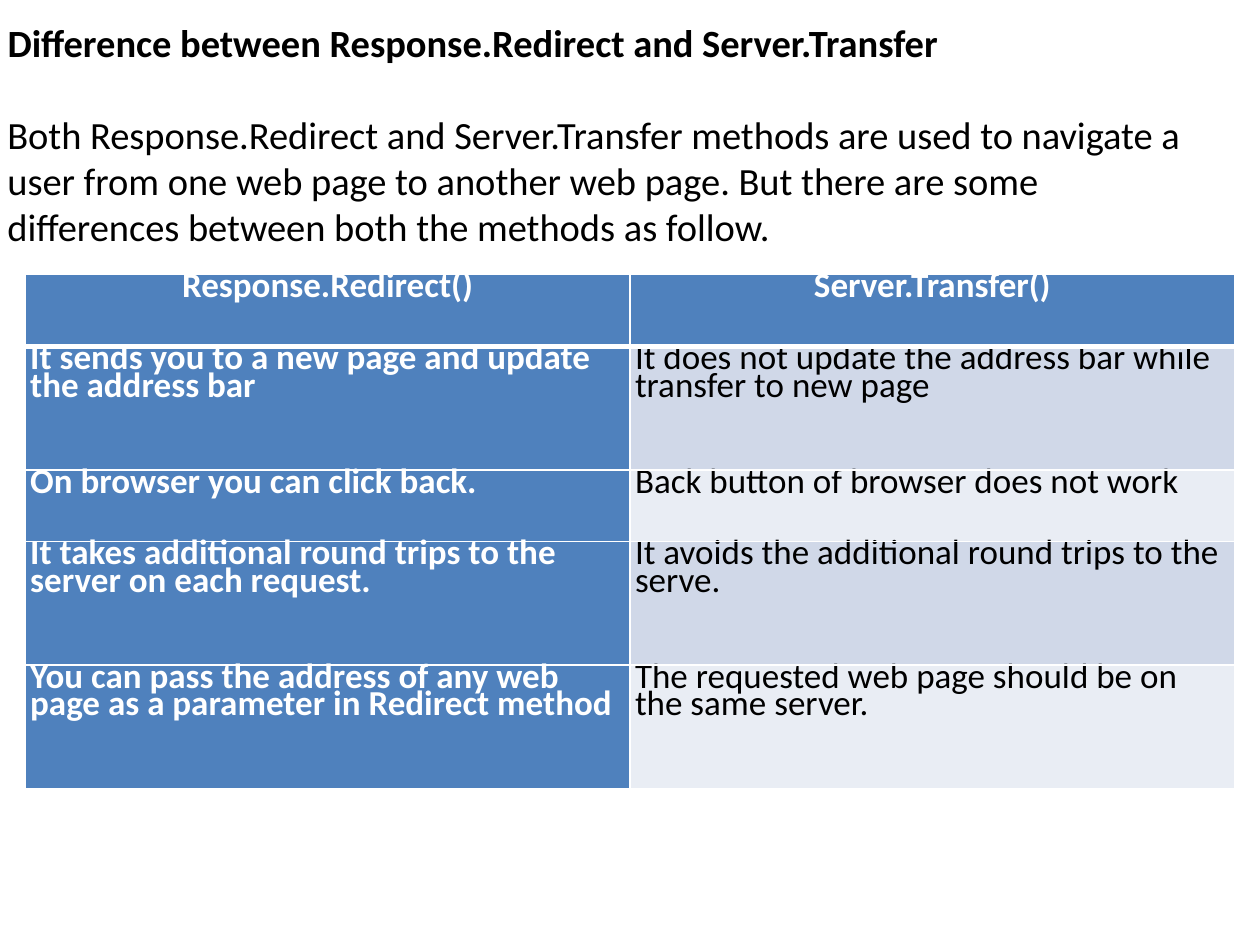
from lxml import etree
from pptx import Presentation
from pptx.dml.color import RGBColor
from pptx.enum.text import MSO_ANCHOR, MSO_AUTO_SIZE, PP_ALIGN
from pptx.oxml.ns import qn
from pptx.util import Inches, Pt

LEFT, CENTER = PP_ALIGN.LEFT, PP_ALIGN.CENTER
TOP, NO_FIT = MSO_ANCHOR.TOP, MSO_AUTO_SIZE.NONE
FONT = "Calibri"
BLACK, WHITE, BLUE = "000000", "FFFFFF", "4F81BD"
BANDS = ("D0D8E8", "E9EDF4")

TITLE = "Difference between Response.Redirect and Server.Transfer"
INTRO = ("Both Response.Redirect and Server.Transfer methods are used to navigate a user "
         "from one web page to another web page. But there are some differences between "
         "both the methods as follow.")
ROWS = [
    ("Response.Redirect()", "Server.Transfer()"),
    ("It sends you to a new page and update the address bar",
     "It does not update the address bar while transfer to new page"),
    ("On browser you can click back.", "Back button of browser does not work"),
    ("It takes additional round trips to the server on each request.",
     "It avoids the additional round trips to the serve."),
    ("You can pass the address of any web page as a parameter in Redirect method",
     "The requested web page should be on the same server."),
]
ROW_HEIGHTS = (0.57, 0.98, 0.57, 0.98, 0.98)
COL_WIDTH = 4.8
TEXT_LEFT, TEXT_WIDTH = -0.04, 9.69
TITLE_TOP, INTRO_TOP = 0.1, 0.83


def rgb(color):
    return RGBColor.from_string(color)


def write(tf, text, size, color, bold, align=LEFT):
    tf.text = text
    p = tf.paragraphs[0]
    p.alignment = align
    font = p.runs[0].font
    font.name, font.size, font.bold = FONT, Pt(size), bold
    font.color.rgb = rgb(color)
    return p


def write_block(s, text, bold):
    tf = s.text_frame
    tf.word_wrap, tf.auto_size, tf.vertical_anchor = True, NO_FIT, TOP
    write(tf, text, 22, BLACK, bold)


def set_borders(cell, top, bottom):
    """White lines on all sides; top and bottom widths in points."""
    tc_pr = cell._tc.get_or_add_tcPr()
    for side, width in (("L", 1), ("R", 1), ("T", top), ("B", bottom)):
        ln = etree.SubElement(tc_pr, qn(f"a:ln{side}"), w=str(Pt(width)))
        fill = etree.SubElement(ln, qn("a:solidFill"))
        etree.SubElement(fill, qn("a:srgbClr"), val=WHITE)


def fill_cell(cell, row, col, text):
    header = row == 0
    strong = header or col == 0
    set_borders(cell, 3 if row == 1 else 1, 3 if header else 1)
    cell.fill.solid()
    cell.fill.fore_color.rgb = rgb(BLUE if strong else BANDS[(row - 1) % 2])
    cell.margin_left = cell.margin_right = Inches(0.04)
    cell.margin_top = cell.margin_bottom = Inches(0.04)
    p = write(cell.text_frame, text, 20, WHITE if strong else BLACK, strong,
              CENTER if header else LEFT)
    p.line_spacing, p.space_after = Pt(15.8), Pt(10)


def main():
    prs = Presentation()
    prs.slide_width, prs.slide_height = Inches(10), Inches(7.5)
    slide = prs.slides.add_slide(prs.slide_layouts[5])

    title = slide.shapes.title
    title.left, title.top = Inches(TEXT_LEFT), Inches(TITLE_TOP)
    title.width, title.height = Inches(TEXT_WIDTH), Inches(0.47)
    write_block(title, TITLE, True)

    intro = slide.shapes.add_textbox(Inches(TEXT_LEFT), Inches(INTRO_TOP),
                                     Inches(TEXT_WIDTH), Inches(1.22))
    write_block(intro, INTRO, False)

    table = slide.shapes.add_table(len(ROWS), 2, Inches(0.2), Inches(2.18),
                                   Inches(2 * COL_WIDTH), Inches(sum(ROW_HEIGHTS))).table
    table.first_col = True
    for column in table.columns:
        column.width = Inches(COL_WIDTH)
    for r, (height, texts) in enumerate(zip(ROW_HEIGHTS, ROWS)):
        table.rows[r].height = Inches(height)
        for c, text in enumerate(texts):
            fill_cell(table.cell(r, c), r, c, text)

    prs.save("out.pptx")


if __name__ == "__main__":
    main()
